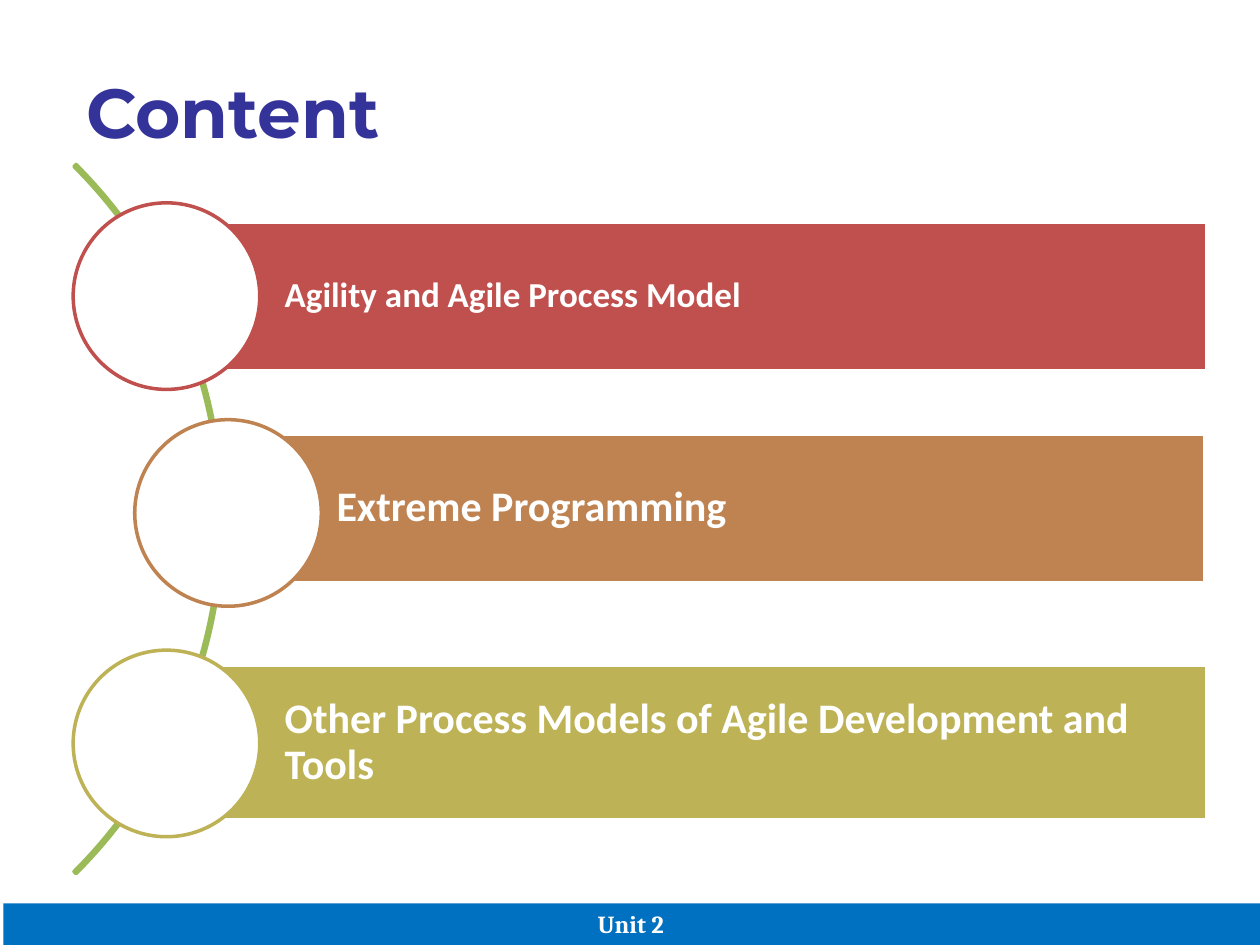
import pptx
import pptx.util
import pptx.dml.color
import pptx.enum.shapes
import pptx.enum.text

Pt = pptx.util.Pt
SHAPES = pptx.enum.shapes.MSO_SHAPE
ANCHOR = pptx.enum.text.MSO_ANCHOR
ALIGN = pptx.enum.text.PP_ALIGN

# Content
TITLE = "Content"
FOOTER = "Unit 2 "
# text, font size, colour, bar (left, top, width, height), circle (left, top)
TOPICS = [
    ("Agility and Agile Process Model", 20, "C0504D",
     (95, 126.9, 594.5, 84.8), (41.8, 115.9)),
    ("Extreme Programming", 24, "BE8351",
     (124.6, 248, 563.6, 84.8), (77, 239.8)),
    ("Other Process Models of Agile Development and Tools", 24, "BDB255",
     (95, 380.3, 594.5, 88.4), (41.8, 371.5)),
]
CIRCLE_SIZE = 106.6
ARC_SIZE = 573.1
ARC_ANGLES_AND_THICKNESS = (189, 27, 0.003)
WHITE = "FFFFFF"


def color(value):
    return pptx.dml.color.RGBColor.from_string(value)


def add_shape(slide, kind, box, fill=None, line=None):
    shape = slide.shapes.add_shape(kind, *[Pt(length) for length in box])
    shape.shadow.inherit = False
    if fill:
        shape.fill.solid()
        shape.fill.fore_color.rgb = color(fill)
    else:
        shape.fill.background()
    if line:
        shape.line.color.rgb = color(line)
        shape.line.width = Pt(2)
    else:
        shape.line.fill.background()
    return shape


def write(shape, text, size, font, ink, anchor, align=ALIGN.LEFT):
    frame = shape.text_frame
    frame.word_wrap = True
    frame.auto_size = pptx.enum.text.MSO_AUTO_SIZE.NONE
    frame.vertical_anchor = anchor
    paragraph = frame.paragraphs[0]
    paragraph.alignment = align
    run = paragraph.add_run()
    run.text = text
    run.font.size = Pt(size)
    run.font.name = font
    run.font.bold = True
    run.font.color.rgb = color(ink)
    return frame


def main():
    presentation = pptx.Presentation()
    presentation.slide_width, presentation.slide_height = Pt(720), Pt(540)
    slide = presentation.slides.add_slide(presentation.slide_layouts[5])

    # Title
    title = slide.shapes.title
    title.left, title.top, title.width, title.height = Pt(42), Pt(36), Pt(648), Pt(50.4)
    write(title, TITLE, 39.6, "Montserrat", "333399", ANCHOR.TOP)

    # Arc behind the topics
    arc = add_shape(slide, SHAPES.BLOCK_ARC, (-445.7, 10.1, ARC_SIZE, ARC_SIZE), line="9BBB59")
    for index, value in enumerate(ARC_ANGLES_AND_THICKNESS):
        arc.adjustments[index] = value

    # Topic bars, each with a circle on its left end
    for text, size, accent, bar_box, circle_corner in TOPICS:
        bar = add_shape(slide, SHAPES.RECTANGLE, bar_box, accent, WHITE)
        frame = write(bar, text, size, "Calibri", WHITE, ANCHOR.MIDDLE)
        frame.paragraphs[0].line_spacing = 0.9
        frame.margin_left = Pt(67.7)
        frame.margin_top = frame.margin_right = frame.margin_bottom = Pt(size / 5)
        add_shape(slide, SHAPES.OVAL, (*circle_corner, CIRCLE_SIZE, CIRCLE_SIZE), WHITE, accent)

    # Footer band
    footer = add_shape(slide, SHAPES.RECTANGLE, (2, 516.2, 720, 23.8), "0070C0")
    write(footer, FOOTER, 14, "Cambria", WHITE, ANCHOR.BOTTOM, ALIGN.CENTER)

    presentation.save("out.pptx")


if __name__ == "__main__":
    main()
